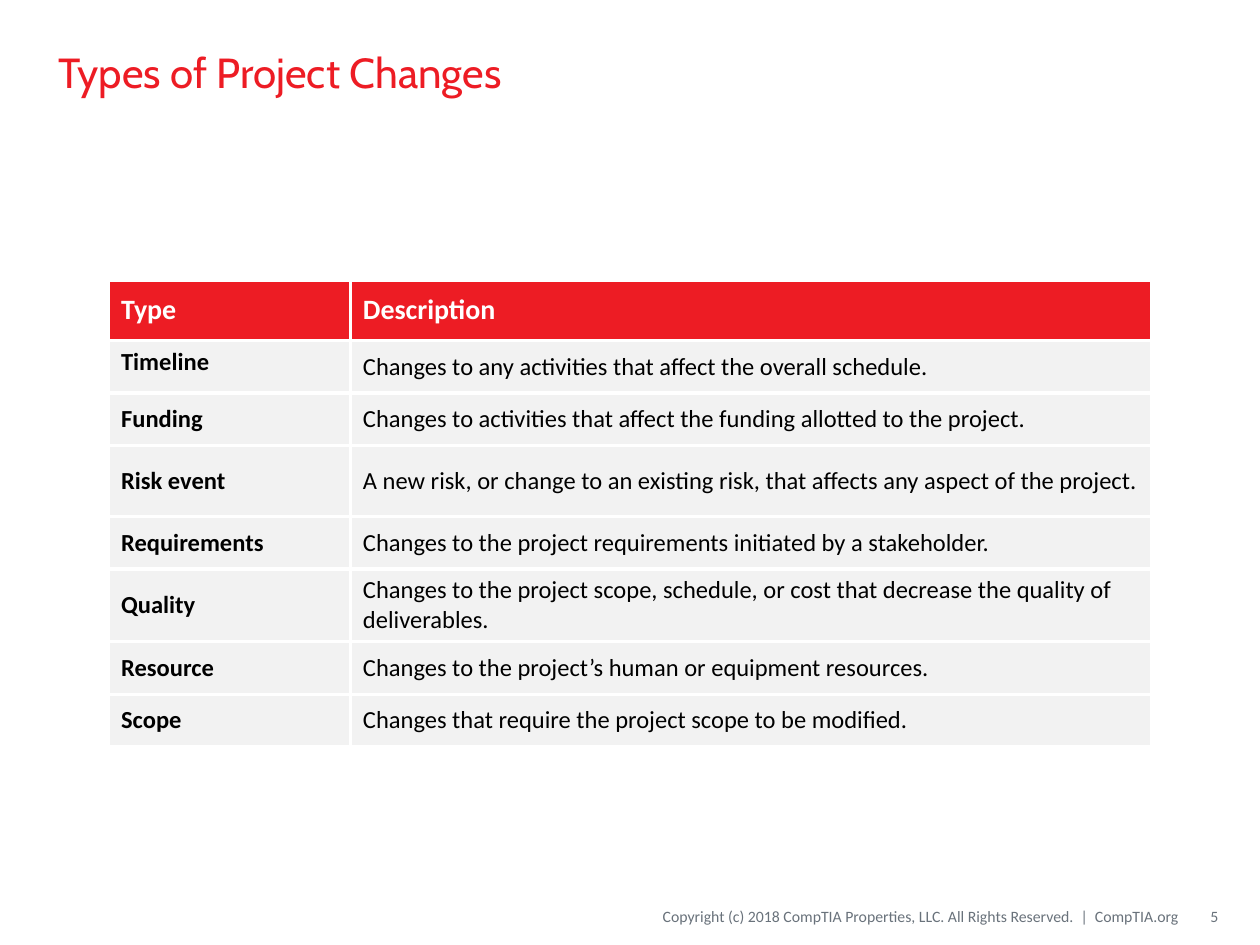
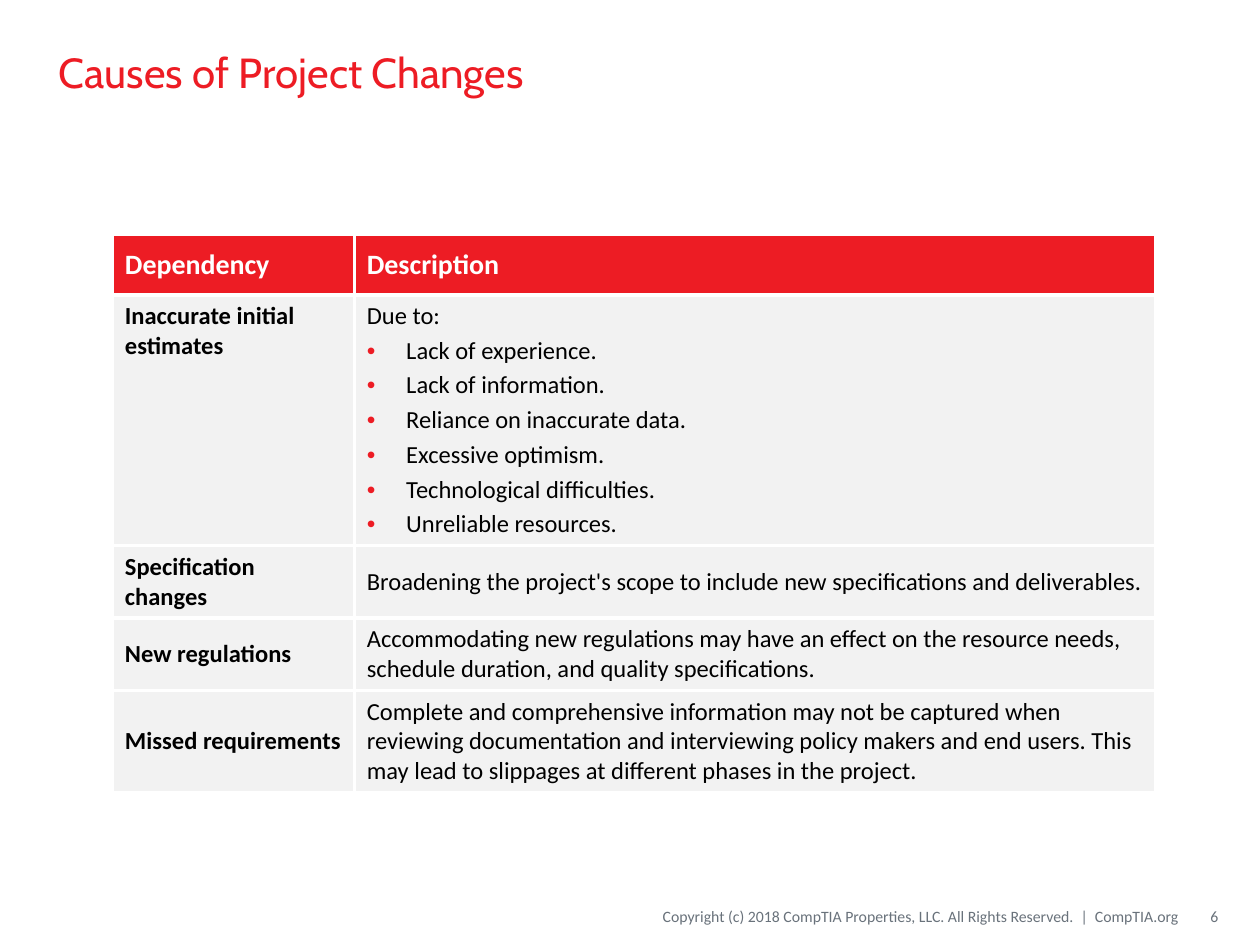
from lxml.etree import SubElement
from pptx import Presentation
from pptx.dml.color import RGBColor
from pptx.enum.text import MSO_ANCHOR, PP_ALIGN
from pptx.oxml.ns import qn
from pptx.util import Pt

COLORS = {"red": "ED1C24", "gray": "69727B", "cell": "F2F2F2",
          "white": "FFFFFF", "black": "000000"}
BODY_FONT, TITLE_FONT = "Calibri", "Cabin"
TITLE_BOX = (26.6, 7.9, 666, 66.2)
FOOTER_BOX = (279.4, 512.6, 416.8, 21.6)
COPYRIGHT = ("Copyright (c) 2018 CompTIA Properties, LLC. "
             "All Rights Reserved.  |  CompTIA.org")
COLUMN_WIDTHS = (138.24, 457.92)
HEADER_HEIGHT, ROW_HEIGHT, TWO_LINES, THREE_LINES = 34.56, 30.1, 41.4, 58.4

# Each row: height, label, description paragraphs (those after the first are bullets)
TYPES = [
    (ROW_HEIGHT, "Timeline", ["Changes to any activities that affect the overall schedule."]),
    (ROW_HEIGHT, "Funding",
     ["Changes to activities that affect the funding allotted to the project."]),
    (40.5, "Risk event",
     ["A new risk, or change to an existing risk, that affects any aspect of the project."]),
    (ROW_HEIGHT, "Requirements",
     ["Changes to the project requirements initiated by a stakeholder."]),
    (TWO_LINES, "Quality",
     ["Changes to the project scope, schedule, or cost that decrease the quality of "
      "deliverables."]),
    (ROW_HEIGHT, "Resource", ["Changes to the project’s human or equipment resources."]),
    (ROW_HEIGHT, "Scope", ["Changes that require the project scope to be modified."]),
]
CAUSES = [
    (143.3, "Inaccurate initial estimates",
     ["Due to:", "Lack of experience.", "Lack of information.",
      "Reliance on inaccurate data.", "Excessive optimism.",
      "Technological difficulties.", "Unreliable resources."]),
    (TWO_LINES, "Specification changes",
     ["Broadening the project's scope to include new specifications and deliverables."]),
    (TWO_LINES, "New regulations",
     ["Accommodating new regulations may have an effect on the resource needs, "
      "schedule duration, and quality specifications."]),
    (THREE_LINES, "Missed requirements",
     ["Complete and comprehensive information may not be captured when reviewing "
      "documentation and interviewing policy makers and end users. This may lead to "
      "slippages at different phases in the project."]),
]


def add_run(p, text, size, color, font=BODY_FONT, bold=False):
    r = p.add_run()
    r.text = text
    r.font.size = Pt(size)
    r.font.name = font
    r.font.bold = bold
    r.font.color.rgb = RGBColor.from_string(COLORS[color])


def add_text(s, box, text, size, color, font=BODY_FONT, align=PP_ALIGN.LEFT,
             insets=(7.2, 7.2)):
    tf = s.shapes.add_textbox(*map(Pt, box)).text_frame
    tf.word_wrap = True
    tf.vertical_anchor = MSO_ANCHOR.MIDDLE
    tf.margin_left, tf.margin_right = map(Pt, insets)
    p = tf.paragraphs[0]
    p.alignment = align
    add_run(p, text, size, color, font)


def add_footer(s, box, number):
    left, top, width, height = box
    number_width, copyright_width = 20.9, 393.8
    add_text(s, (left, top, copyright_width, height), COPYRIGHT, 9, "gray",
             align=PP_ALIGN.RIGHT, insets=(0, 0))
    add_text(s, (left + width - number_width, top, number_width, height),
             str(number), 9, "gray", align=PP_ALIGN.RIGHT, insets=(7.2, 0))


def add_bullet(p):
    pPr = p._p.get_or_add_pPr()
    pPr.set("marL", str(Pt(22.5)))
    pPr.set("indent", str(-Pt(22.5)))
    color = SubElement(pPr, qn("a:buClr"))
    SubElement(color, qn("a:srgbClr"), val=COLORS["red"])
    SubElement(pPr, qn("a:buFont"), typeface="Arial")
    SubElement(pPr, qn("a:buChar"), char="•")


def add_borders(cell):
    tcPr = cell._tc.get_or_add_tcPr()
    for side in ("lnL", "lnR", "lnT", "lnB"):
        ln = SubElement(tcPr, qn(f"a:{side}"), w=str(Pt(2.25)))
        fill = SubElement(ln, qn("a:solidFill"))
        SubElement(fill, qn("a:srgbClr"), val=COLORS["white"])


def fill_cell(cell, paragraphs, fill, size, color, bold):
    add_borders(cell)
    cell.fill.solid()
    cell.fill.fore_color.rgb = RGBColor.from_string(COLORS[fill])
    cell.vertical_anchor = MSO_ANCHOR.MIDDLE
    tf = cell.text_frame
    for i, text in enumerate(paragraphs):
        p = tf.add_paragraph() if i else tf.paragraphs[0]
        if i:
            add_bullet(p)
            p.space_before = Pt(2.8)
        add_run(p, text, size, color, bold=bold)


def add_description_table(s, left, top, heading, rows):
    heights = [HEADER_HEIGHT] + [row[0] for row in rows]
    table = s.shapes.add_table(len(heights), 2, Pt(left), Pt(top),
                               Pt(sum(COLUMN_WIDTHS)), Pt(sum(heights))).table
    table.first_row = table.horz_banding = False
    for column, width in zip(table.columns, COLUMN_WIDTHS):
        column.width = Pt(width)
    for row, height in zip(table.rows, heights):
        row.height = Pt(height)
    for col, text in enumerate((heading, "Description")):
        fill_cell(table.cell(0, col), [text], "red", 16, "white", True)
    for i, (_, label, description) in enumerate(rows, 1):
        fill_cell(table.cell(i, 0), [label], "cell", 14, "black", True)
        fill_cell(table.cell(i, 1), description, "cell", 14, "black", False)
    table.cell(1, 0).vertical_anchor = MSO_ANCHOR.TOP


def add_table_slide(prs, number, title, left, top, heading, rows):
    s = prs.slides.add_slide(prs.slide_layouts[6])
    add_text(s, TITLE_BOX, title, 24, "red", TITLE_FONT)
    add_description_table(s, left, top, heading, rows)
    add_footer(s, FOOTER_BOX, number)


def main():
    prs = Presentation()
    prs.slide_width, prs.slide_height = Pt(720), Pt(540)
    add_table_slide(prs, 5, "Types of Project Changes", 62, 160, "Type", TYPES)
    add_table_slide(prs, 6, "Causes of Project Changes", 64.2, 133.9, "Dependency", CAUSES)
    prs.save("out.pptx")


if __name__ == "__main__":
    main()
